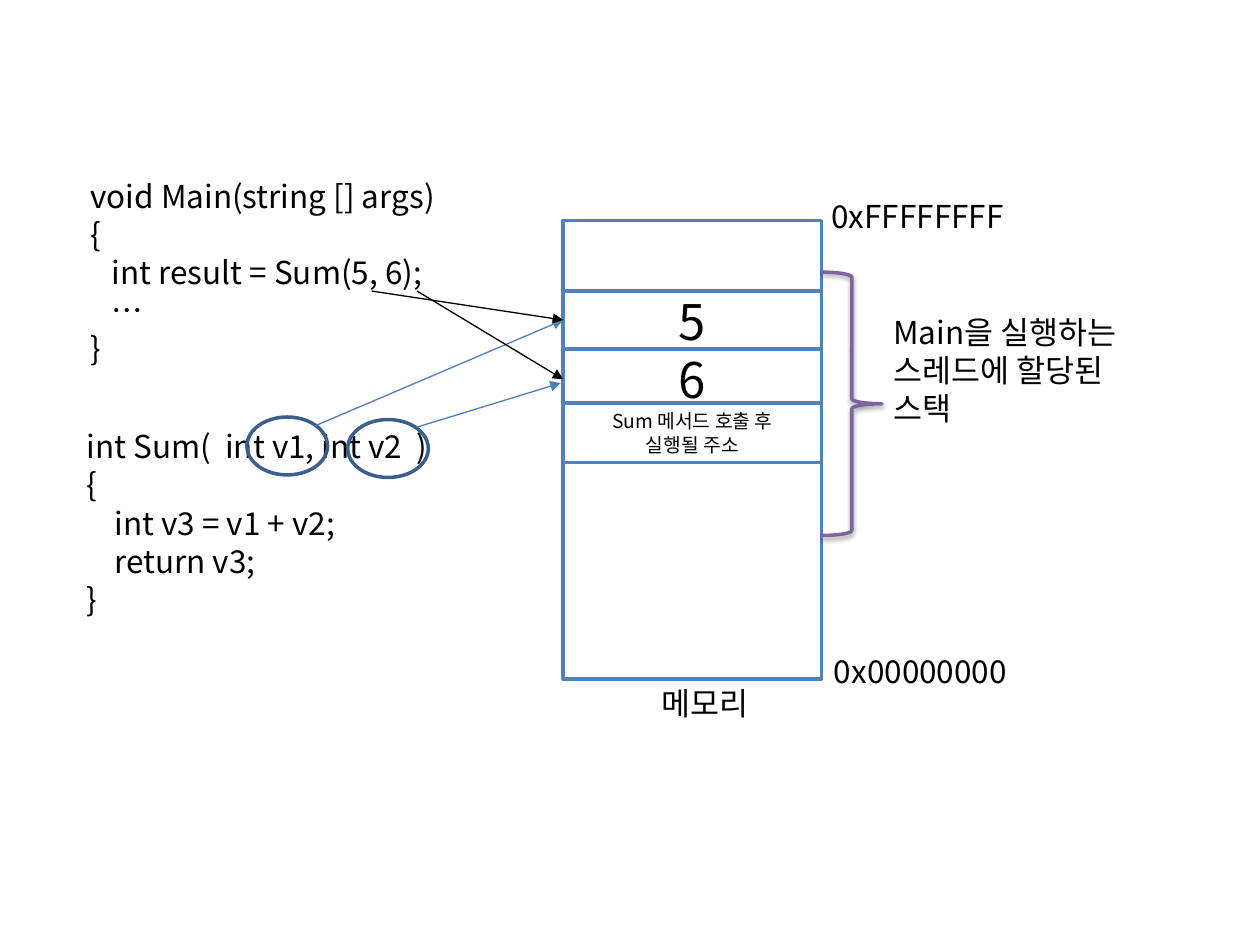
from dataclasses import dataclass

from lxml.etree import SubElement
from pptx import Presentation
from pptx.dml.color import RGBColor
from pptx.enum.shapes import MSO_CONNECTOR, MSO_SHAPE
from pptx.enum.text import MSO_ANCHOR, MSO_AUTO_SIZE, PP_ALIGN
from pptx.oxml import parse_xml
from pptx.oxml.ns import nsdecls, qn
from pptx.util import Inches, Pt


@dataclass(frozen=True)
class Theme:
    """Colours, type sizes and line widths of the slide."""
    font: str = "Noto Sans CJK KR"
    ink: str = "000000"
    paper: str = "FFFFFF"
    memory: str = "4F81BD"
    parameter: str = "3A5F8C"
    link: str = "4B7EBC"
    brace: str = "8064A2"
    body: int = 18
    value: int = 28
    note: int = 11
    leading: float = 1.21
    outline: float = 2
    arrow: float = 0.75


THEME = Theme()


def apply(target, formats):
    """Set each attribute of target from a dict of format values."""
    for attribute, setting in formats.items():
        setattr(target, attribute, setting)


def write(frame, lines, size=THEME.body, align=PP_ALIGN.LEFT):
    """Write (text, indent in inches) lines as paragraphs."""
    frame.word_wrap = True
    for index, (text, indent) in enumerate(lines):
        paragraph = frame.paragraphs[0] if index == 0 else frame.add_paragraph()
        apply(paragraph, {"alignment": align, "line_spacing": Pt(size * THEME.leading)})
        if indent:
            paragraph._p.get_or_add_pPr().set("marL", str(Inches(indent)))
        run = paragraph.add_run()
        run.text = text
        apply(run.font, {"size": Pt(size), "name": THEME.font})
        run.font.color.rgb = RGBColor.from_string(THEME.ink)
        SubElement(run._r.get_or_add_rPr(), qn("a:ea")).set("typeface", THEME.font)


def add_label(slide, box, lines):
    """Add a text box that grows with its lines."""
    label = slide.shapes.add_textbox(*map(Inches, box))
    write(label.text_frame, lines)
    label.text_frame.auto_size = MSO_AUTO_SIZE.SHAPE_TO_FIT_TEXT


def add_outline(slide, preset, box, color, fill=None):
    """Add an outlined preset shape, filled only when a fill is given."""
    outline = slide.shapes.add_shape(preset, *map(Inches, box))
    outline.shadow.inherit = False
    outline.line.color.rgb = RGBColor.from_string(color)
    outline.line.width = Pt(THEME.outline)
    if fill:
        outline.fill.solid()
        outline.fill.fore_color.rgb = RGBColor.from_string(fill)
    else:
        outline.fill.background()
    return outline


def add_arrow(slide, start, end, color):
    """Add a thin straight arrow between two points."""
    arrow = slide.shapes.add_connector(
        MSO_CONNECTOR.STRAIGHT, *map(Inches, (*start, *end)))
    arrow.line.color.rgb = RGBColor.from_string(color)
    arrow.line.width = Pt(THEME.arrow)
    SubElement(arrow.line._get_or_add_ln(), qn("a:tailEnd")).set("type", "triangle")
    SubElement(arrow._element.spPr, qn("a:effectLst"))


def add_memory(slide, box):
    """Draw the memory column, its stack cells and its address labels."""
    left, top, width, height = box
    add_outline(slide, MSO_SHAPE.RECTANGLE, box, THEME.memory, THEME.paper)
    cells = [
        (0.56, ["5"], THEME.value),
        (1.02, ["6"], THEME.value),
        (1.45, ["Sum 메서드 호출 후", "실행될 주소"], THEME.note),
    ]
    for offset, lines, size in cells:
        cell = add_outline(slide, MSO_SHAPE.RECTANGLE,
                           (left, top + offset, width, 0.47), THEME.memory, THEME.paper)
        apply(cell.text_frame, {"vertical_anchor": MSO_ANCHOR.MIDDLE})
        write(cell.text_frame, [(line, 0) for line in lines], size, PP_ALIGN.CENTER)
    right, bottom = left + width, top + height
    add_label(slide, (right - 0.02, top - 0.24, 1.65, 0.4), [("0xFFFFFFFF", 0)])
    add_label(slide, (right, bottom - 0.27, 1.79, 0.4), [("0x00000000", 0)])
    add_label(slide, (left + 0.68, bottom - 0.01, 1.34, 0.4), [("메모리", 0)])


def add_stack_range(slide, box):
    """Draw the brace over the stack and its caption."""
    left, top, width, height = box
    brace = add_outline(slide, MSO_SHAPE.RIGHT_BRACE, box, THEME.brace)
    shadow = parse_xml(
        f'<a:outerShdw {nsdecls("a")} blurRad="{Pt(3.1)}" dist="{Pt(1.6)}" dir="5400000"'
        f' rotWithShape="0"><a:srgbClr val="{THEME.ink}"><a:alpha val="38000"/>'
        '</a:srgbClr></a:outerShdw>')
    brace._element.spPr.find(qn("a:effectLst")).append(shadow)
    add_label(slide, (left + width - 0.01, top + 0.27, 2.18, 1.01),
              [("Main을 실행하는 스레드에 할당된 스택", 0)])


def add_main_code(slide, box):
    """Write the calling method."""
    add_label(slide, box, [
        ("void Main(string [] args)", 0), ("{", 0),
        ("int result = Sum(5, 6);", 0.17), ("…", 0.17), ("}", 0)])


def add_sum_code(slide, box):
    """Write the called method and circle its parameters."""
    left, top, _, _ = box
    add_label(slide, box, [
        ("int Sum(  int v1, int v2  )", 0), ("{", 0),
        ("int v3 = v1 + v2;", 0.22), ("return v3;", 0.22), ("}", 0)])
    for across, down in [(1.37, -0.03), (2.17, -0.01)]:
        add_outline(slide, MSO_SHAPE.OVAL,
                    (left + across, top + down, 0.64, 0.46), THEME.parameter)


def add_links(slide, memory):
    """Join arguments and parameters to their cells in the memory box."""
    left, top, _, _ = memory
    links = [
        ((2.5, 3.38), (left, top + 0.79), THEME.link),
        ((3.31, 3.39), (left - 0.02, top + 1.29), THEME.link),
        ((2.95, 2.31), (left, top + 0.79), THEME.ink),
        ((3.31, 2.31), (left, top + 1.26), THEME.ink),
    ]
    for start, end, color in links:
        add_arrow(slide, start, end, color)


def main():
    """Build and save the slide."""
    deck = Presentation()
    apply(deck, {"slide_width": Inches(10), "slide_height": Inches(7.5)})
    slide = deck.slides.add_slide(deck.slide_layouts[6])
    memory = (4.47, 1.75, 2.05, 3.64)
    add_memory(slide, memory)
    add_main_code(slide, (0.62, 1.35, 3.37, 1.62))
    add_stack_range(slide, (6.52, 2.16, 0.48, 2.09))
    add_sum_code(slide, (0.59, 3.34, 4.11, 1.62))
    add_links(slide, memory)
    deck.save("out.pptx")


if __name__ == "__main__":
    main()
